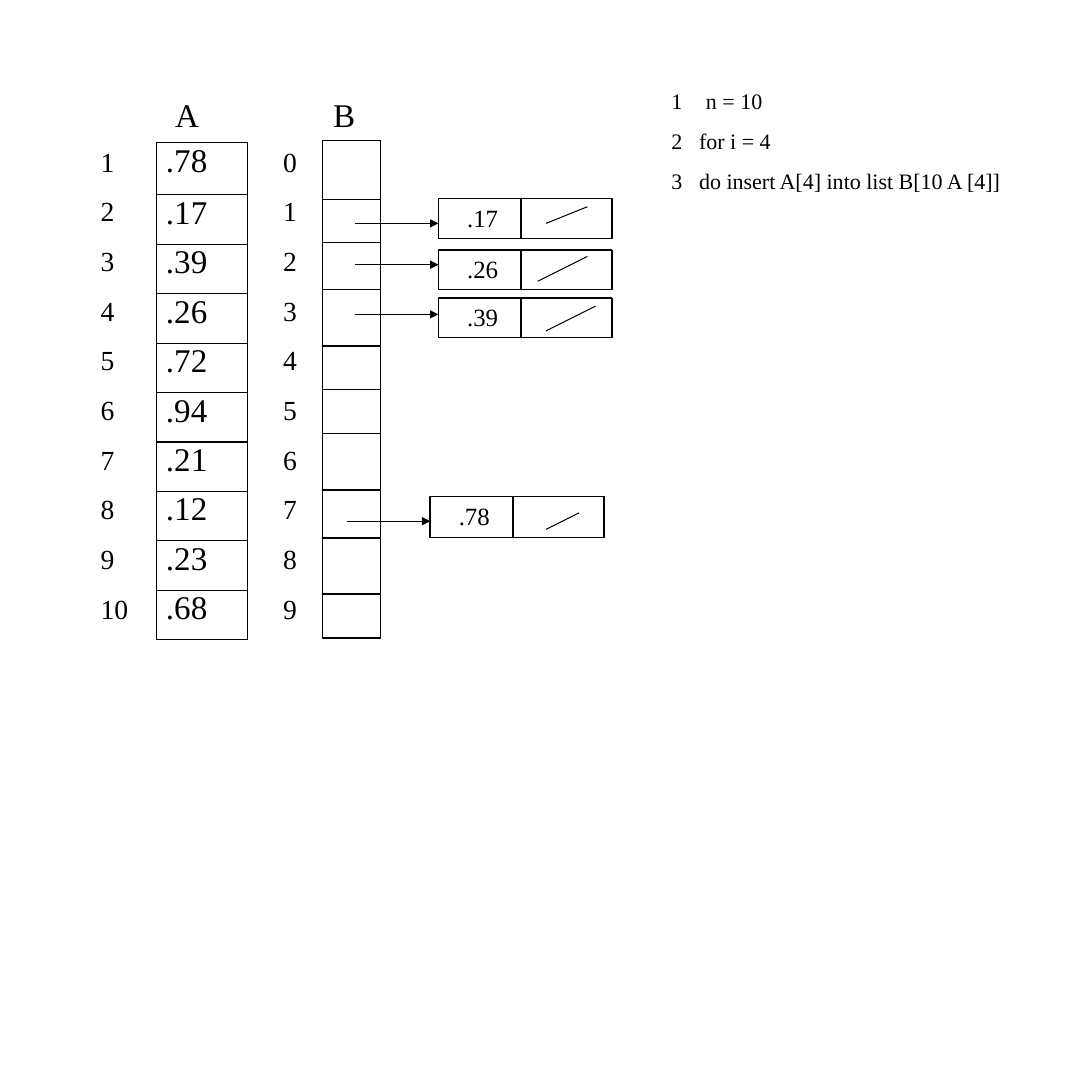
from dataclasses import dataclass
from itertools import accumulate

from lxml.etree import SubElement
from pptx import Presentation
from pptx.dml.color import RGBColor
from pptx.enum.shapes import MSO_CONNECTOR as Connector, MSO_SHAPE as Preset
from pptx.enum.text import MSO_AUTO_SIZE as AutoSize
from pptx.oxml import parse_xml
from pptx.oxml.ns import nsdecls, qn
from pptx.util import Emu, Inches, Pt


@dataclass(frozen=True)
class Theme:
    """Colours, type sizes and line widths of the slide."""
    font: str = "Times New Roman"
    ink: str = "000000"
    heading: int = 24
    index: int = 20
    node: int = 18
    code: int = 16
    hairline: float = 0.25
    border: float = 1
    stroke: float = 0.75


THEME = Theme()
SIDE = Inches(11)
GRID = 132
INK = RGBColor.from_string(THEME.ink)
VALUES = [".78", ".17", ".39", ".26", ".72", ".94", ".21", ".12", ".23", ".68"]
A_ROWS = [6.3] + [5.98] * 9
B_ROWS = [7.1, 5.2, 5.7, 6.8, 5.3, 5.3, 6.8, 5.8, 6.8, 5.3]
NODES = [
    (".78", 52, 60, 5, 63, (70, 62, 66, 64)),
    (".17", 53, 24, 4.8, 27, (66, 27, 71, 25)),
    (".39", 53, 36, 4.8, 38, (66, 40, 72, 37)),
    (".26", 53, 30.2, 4.8, 32, (65, 34, 71, 31)),
]


def grid(*units):
    """Turn grid units into lengths on the slide."""
    return [Emu(round(SIDE * unit / GRID)) for unit in units]


def add_run(paragraph, text, size):
    """Add one run in the slide's font and ink."""
    run = paragraph.add_run()
    run.text = text
    run.font.name = THEME.font
    run.font.size = Pt(size)
    run.font.color.rgb = INK


def set_indent(paragraph, margin, hanging=0):
    """Set the left margin and hanging indent in points."""
    properties = paragraph._p.get_or_add_pPr()
    properties.set("marL", str(Pt(margin)))
    properties.set("indent", str(-Pt(hanging)))
    return properties


def add_text(slide, place, lines, size, gap=0):
    """Add a text box with one paragraph per line and return its paragraphs."""
    frame = slide.shapes.add_textbox(*grid(*place)).text_frame
    frame.margin_left = frame.margin_right = frame.margin_top = frame.margin_bottom = 0
    frame.word_wrap = True
    frame.auto_size = AutoSize.SHAPE_TO_FIT_TEXT
    for position, line in enumerate(lines):
        paragraph = frame.add_paragraph() if position else frame.paragraphs[0]
        set_indent(paragraph, 1)
        if position:
            paragraph.space_before = Pt(gap)
        add_run(paragraph, line, size)
    return frame.paragraphs


def add_box(slide, *place):
    """Add an unfilled rectangle with a hairline outline."""
    shape = slide.shapes.add_shape(Preset.RECTANGLE, *grid(*place))
    shape.shadow.inherit = False
    shape.fill.background()
    shape.line.color.rgb = INK
    shape.line.width = Pt(THEME.hairline)


def add_line(slide, ends, width=THEME.stroke, arrow=False):
    """Add a straight line, with an arrowhead at its end if asked."""
    line = slide.shapes.add_connector(Connector.STRAIGHT, *grid(*ends))
    line.line.color.rgb = INK
    line.line.width = Pt(width)
    if arrow:
        SubElement(line.line._get_or_add_ln(), qn("a:tailEnd"), type="triangle")
    SubElement(line._element.spPr, qn("a:effectLst"))


def add_cells(slide, left, top, columns, rows):
    """Add a block of cells with rules along every edge."""
    edges_x = list(accumulate(columns, initial=left))
    edges_y = list(accumulate(rows, initial=top))
    for y, height in zip(edges_y, rows):
        for x, width in zip(edges_x, columns):
            add_box(slide, x, y, width, height)
    for y in edges_y:
        add_line(slide, (left, y, edges_x[-1], y), THEME.border)
    for x in edges_x:
        add_line(slide, (x, top, x, edges_y[-1]), THEME.border)


def add_border(cell):
    """Draw a thin line on all four sides of a cell."""
    properties = cell._tc.get_or_add_tcPr()
    for position, side in enumerate("LRTB"):
        properties.insert(position, parse_xml(
            f'<a:ln{side} {nsdecls("a")} w="{Pt(THEME.border)}"><a:solidFill>'
            f'<a:srgbClr val="{THEME.ink}"/></a:solidFill></a:ln{side}>'))


def add_array(slide):
    """Add the table of input values."""
    place = grid(18.93, 17.25, 11, sum(A_ROWS))
    table = slide.shapes.add_table(len(VALUES), 1, *place).table
    table.first_row = table.horz_banding = False
    for row, height, value in zip(table.rows, grid(*A_ROWS), VALUES):
        row.height = height
        cell = row.cells[0]
        cell.margin_left = cell.margin_right = cell.margin_top = cell.margin_bottom = 0
        cell.fill.background()
        add_border(cell)
        paragraph = cell.text_frame.paragraphs[0]
        set_indent(paragraph, 6.8)
        paragraph.space_before = Pt(2.2)
        add_run(paragraph, value, THEME.heading)


def add_node(slide, value, left, top, height, level, slash):
    """Add a list node with its value, incoming arrow and end slash."""
    add_cells(slide, left, top, [10, 11], [height])
    add_text(slide, (left + 3.3, top + 0.5, 4.1, 3.7), [value], THEME.node)
    add_line(slide, (left - 10.08, level, left, level), arrow=True)
    add_line(slide, slash)


def add_code(slide):
    """Add the numbered steps of the algorithm."""
    lines = ["1\tn = 10", "for i = 4", "do insert A[4] into list B[10 A [4]]"]
    first, *numbered = add_text(slide, (81, 10.6, 40.7, 13), lines, THEME.code, 9.7)
    set_indent(first, 26, 25)
    for paragraph in numbered:
        properties = set_indent(paragraph, 21, 20)
        SubElement(properties, qn("a:buAutoNum"), type="arabicPlain", startAt="2")


def main():
    """Build the bucket sort slide and save it."""
    presentation = Presentation()
    presentation.slide_width = presentation.slide_height = SIDE
    slide = presentation.slides.add_slide(presentation.slide_layouts[6])
    add_array(slide)
    add_cells(slide, 39, 17, [7], B_ROWS)
    for name, left in (("A", 21), ("B", 40.1)):
        add_text(slide, (left, 11.4, 3.2, 4.9), [name], THEME.heading)
    for start, left, width in ((1, 12, 3.8), (0, 34.05, 2.1)):
        labels = [str(start + step) for step in range(len(VALUES))]
        add_text(slide, (left, 17.5, width, 58.2), labels, THEME.index, 12)
    for node in NODES:
        add_node(slide, *node)
    add_code(slide)
    presentation.save("out.pptx")


if __name__ == "__main__":
    main()
